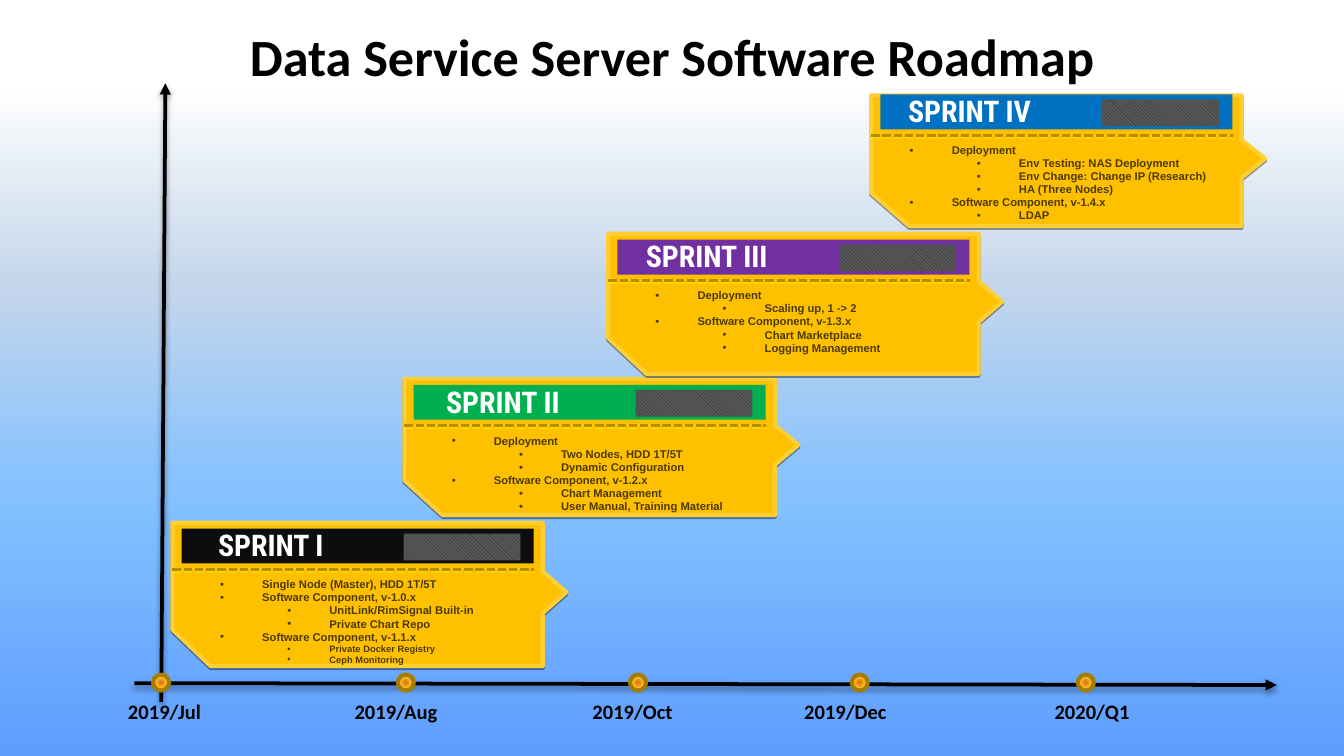
from lxml import etree
from pptx import Presentation
from pptx import util as u
from pptx.dml.color import RGBColor
from pptx.enum import dml, shapes, text
from pptx.oxml import parse_xml
from pptx.oxml.ns import nsdecls, qn

AXIS_SHADOW = ("000000", 38, 3.1, 1.6)
CARD_SHADOW = ("000000", 40, 0, 1)
DASH_SHADOW = ("FFFF00", 40, 0, 1)


def color(hex_value):
    return RGBColor.from_string(hex_value)


def cast_shadow(effects, hex_value, alpha, blur, distance):
    effects.append(parse_xml(
        f'<a:outerShdw {nsdecls("a")} blurRad="{u.Pt(blur)}" dist="{u.Pt(distance)}" '
        f'dir="5400000" rotWithShape="0"><a:srgbClr val="{hex_value}">'
        f'<a:alpha val="{alpha * 1000}"/></a:srgbClr></a:outerShdw>'))


class Roadmap:
    """Style and current slide; `target` is the shape tree being filled."""
    label_font, heading_font, body_font = "Calibri", "Roboto Condensed", "Arial"
    ink, body_ink, gold, gold_edge = "000000", "4C3A00", "FFC000", "FFCE33"

    def __init__(self, deck):
        self.slide = deck.slides.add_slide(deck.slide_layouts[5])
        self.target = self.slide.shapes

    def run(self, paragraph, words, size, font, hex_value):
        run = paragraph.add_run()
        run.text = words
        run.font.size, run.font.name, run.font.bold = u.Pt(size), font, True
        run.font.color.rgb = color(hex_value)

    def title(self, words, x, y, w, h):
        title = self.slide.shapes.title
        title.left, title.top, title.width, title.height = map(u.Pt, (x, y, w, h))
        title.text_frame.vertical_anchor = text.MSO_ANCHOR.MIDDLE
        paragraph = title.text_frame.paragraphs[0]
        paragraph.alignment = text.PP_ALIGN.CENTER
        self.run(paragraph, words, 28, self.label_font, self.ink)
        tree = title._element.getparent()
        tree.append(title._element)  # bring in front of the backdrop

    def shape(self, kind, x, y, w, h, fill=None):
        shape = self.target.add_shape(kind, *map(u.Pt, (x, y, w, h)))
        shape.shadow.inherit = False
        shape.line.fill.background()
        if fill:
            shape.fill.solid()
            shape.fill.fore_color.rgb = color(fill)
        return shape

    def gradient(self, shape, stops, direction):
        shape.fill.gradient()
        grad = shape._element.spPr.find(qn("a:gradFill"))
        for child in list(grad):
            grad.remove(child)
        marks = "".join(f'<a:gs pos="{at * 1000}"><a:srgbClr val="{c}"/></a:gs>'
                        for at, c in stops)
        grad.append(parse_xml(f'<a:gsLst {nsdecls("a")}>{marks}</a:gsLst>'))
        grad.append(parse_xml(direction))

    def backdrop(self, x, y, w, h):
        rect = self.shape(shapes.MSO_SHAPE.RECTANGLE, x, y, w, h)
        self.gradient(rect, [(0, "5E9EFF"), (40, "85C2FF"), (70, "C4D6EB"), (100, "FFFFFF")],
                      f'<a:lin {nsdecls("a")} ang="16200000" scaled="0"/>')

    def milestone(self, x, y, size):
        dot = self.shape(shapes.MSO_SHAPE.OVAL, x, y, size, size)
        self.gradient(dot, [(0, "E46C0A"), (54, "FFCE33")],
                      f'<a:path {nsdecls("a")} path="circle">'
                      '<a:fillToRect l="50000" t="50000" r="50000" b="50000"/></a:path>')
        dot.line.color.rgb, dot.line.width = color("A47D00"), u.Pt(2.25)

    def line(self, x1, y1, x2, y2, hex_value, width, shadow, dashed=False, arrow=False):
        line = self.target.add_connector(shapes.MSO_CONNECTOR.STRAIGHT,
                                         *map(u.Pt, (x1, y1, x2, y2)))
        line.line.color.rgb, line.line.width = color(hex_value), u.Pt(width)
        if dashed:
            line.line.dash_style = dml.MSO_LINE.SQUARE_DOT
        props = line._element.spPr
        if arrow:
            etree.SubElement(props.find(qn("a:ln")), qn("a:tailEnd"), type="triangle")
        cast_shadow(etree.SubElement(props, qn("a:effectLst")), *shadow)

    def text_frame(self, x, y, w, h):
        frame = self.target.add_textbox(*map(u.Pt, (x, y, w, h))).text_frame
        frame.word_wrap = True
        return frame

    def date(self, words, x, y):
        frame = self.text_frame(x, y, 68.4, 29.5)
        frame.margin_left = frame.margin_right = u.Pt(10.8)
        frame.margin_top = frame.margin_bottom = u.Pt(8.64)
        paragraph = frame.paragraphs[0]
        paragraph.alignment, paragraph.line_spacing = text.PP_ALIGN.RIGHT, 0.9
        self.run(paragraph, words, 11, self.label_font, self.ink)

    def heading(self, words, x, y):
        paragraph = self.text_frame(x, y, 113, 23).paragraphs[0]
        paragraph.alignment, paragraph.line_spacing = text.PP_ALIGN.CENTER, 0.8
        self.run(paragraph, words, 16, self.heading_font, "FFFFFF")

    def bullets(self, items, x, y, w, h):
        """Items are (level, words) or (level, words, size)."""
        frame = self.text_frame(x, y, w, h)
        for i, (level, words, *size) in enumerate(items):
            paragraph = frame.add_paragraph() if i else frame.paragraphs[0]
            paragraph.level, paragraph.line_spacing = level, 0.97
            props = paragraph._p.get_or_add_pPr()
            props.set("marL", str(u.Pt(22.5 + 36 * min(level, 1))))
            props.set("indent", str(u.Pt(-22.5)))
            etree.SubElement(props, qn("a:buFont"), typeface="Arial")
            etree.SubElement(props, qn("a:buChar"), char="•")
            self.run(paragraph, words, size[0] if size else 6, self.body_font, self.body_ink)

    def tag(self, x, y, h):
        """Card outline: arrow on the right edge, cut lower left corner."""
        corners = [(198.4, 0), (198.4, 0.34), (211, 0.485), (198.4, 0.63),
                   (198.4, 1), (20.5, 1), (0, 0.745)]
        builder = self.target.build_freeform(u.Pt(x), u.Pt(y))
        builder.add_line_segments([(u.Pt(x + dx), u.Pt(y + h * part)) for dx, part in corners])
        tag = builder.convert_to_shape()
        tag.shadow.inherit = False
        tag.fill.solid()
        tag.fill.fore_color.rgb = color(self.gold)
        tag.line.color.rgb, tag.line.width = color(self.gold_edge), u.Pt(2.25)
        cast_shadow(tag._element.spPr.find(qn("a:effectLst")), *CARD_SHADOW)

    def sprint(self, name, x, y, h, band_y, band_color, body_dx, body_h, items):
        self.target = self.slide.shapes.add_group_shape().shapes
        self.tag(x, y, h)
        rectangle = shapes.MSO_SHAPE.RECTANGLE
        self.shape(rectangle, x + 4.9, band_y, 188.6, 18.7, band_color)
        hatch = self.shape(rectangle, x + 123.8, band_y + 2.7, 62.6, 14.4).fill
        hatch.patterned()
        hatch.pattern = dml.MSO_PATTERN.DARK_DOWNWARD_DIAGONAL
        hatch.fore_color.rgb, hatch.back_color.rgb = color("262626"), color("595959")
        self.line(x, band_y + 21.9, x + 193.7, band_y + 21.9, "B88C00", 1.5,
                  DASH_SHADOW, dashed=True)
        self.heading(name, x - 3.8, band_y - 0.7)
        self.bullets(items, x + body_dx, band_y + 23.2, 211 - body_dx, body_h)
        self.target = self.slide.shapes


MILESTONES = [("2019/Jul", 50.1, 82), ("2019/Aug", 176.8, 213.1), ("2019/Oct", 302.8, 337.5),
              ("2019/Dec", 417.4, 456.3), ("2020/Q1", 547.6, 577.4)]
SPRINTS = [
    ("SPRINT I", 92.4, 280.1, 76.8, 283.2, "0D0D0D", 18.5, 54,
     [(0, "Single Node (Master), HDD 1T/5T"), (0, "Software Component, v-1.0.x"),
      (1, "UnitLink/RimSignal Built-in"), (1, "Private Chart Repo"),
      (0, "Software Component, v-1.1.x"), (1, "Private Docker Registry", 5),
      (1, "Ceph Monitoring", 5)]),
    ("SPRINT II", 216.7, 203, 73, 206.2, "00B050", 18.3, 49,
     [(0, "Deployment"), (1, "Two Nodes, HDD 1T/5T"), (1, "Dynamic Configuration"),
      (0, "Software Component, v-1.2.x"), (1, "Chart Management"),
      (1, "User Manual, Training Material")]),
    ("SPRINT III", 325.9, 125.3, 75, 128.4, "7030A0", 18.2, 44,
     [(0, "Deployment"), (1, "Scaling up, 1 -> 2"), (0, "Software Component, v-1.3.x"),
      (2, "Chart Marketplace"), (1, "Logging Management")]),
    ("SPRINT IV", 466.7, 51.1, 70, 50.6, "0070C0", 13.6, 49,
     [(0, "Deployment"), (1, "Env Testing: NAS Deployment"),
      (1, "Env Change: Change IP (Research)"), (1, "HA (Three Nodes)"),
      (0, "Software Component, v-1.4.x"), (1, "LDAP")]),
]


def main():
    deck = Presentation()
    deck.slide_width, deck.slide_height = u.Pt(720), u.Pt(405)
    roadmap = Roadmap(deck)
    roadmap.backdrop(0, 45, 720, 360)
    roadmap.line(86.4, 376, 88.6, 44.6, "000000", 2, AXIS_SHADOW, arrow=True)
    roadmap.line(72, 366, 684, 367, "000000", 2, AXIS_SHADOW, arrow=True)
    for date, label_x, dot_x in MILESTONES:
        roadmap.milestone(dot_x, 361.4, 8.6)
        roadmap.date(date, label_x, 370)
    roadmap.title("Data Service Server Software Roadmap", 36, 4.5, 648, 51)
    for sprint in SPRINTS:
        roadmap.sprint(*sprint)
    deck.save("out.pptx")


if __name__ == "__main__":
    main()
